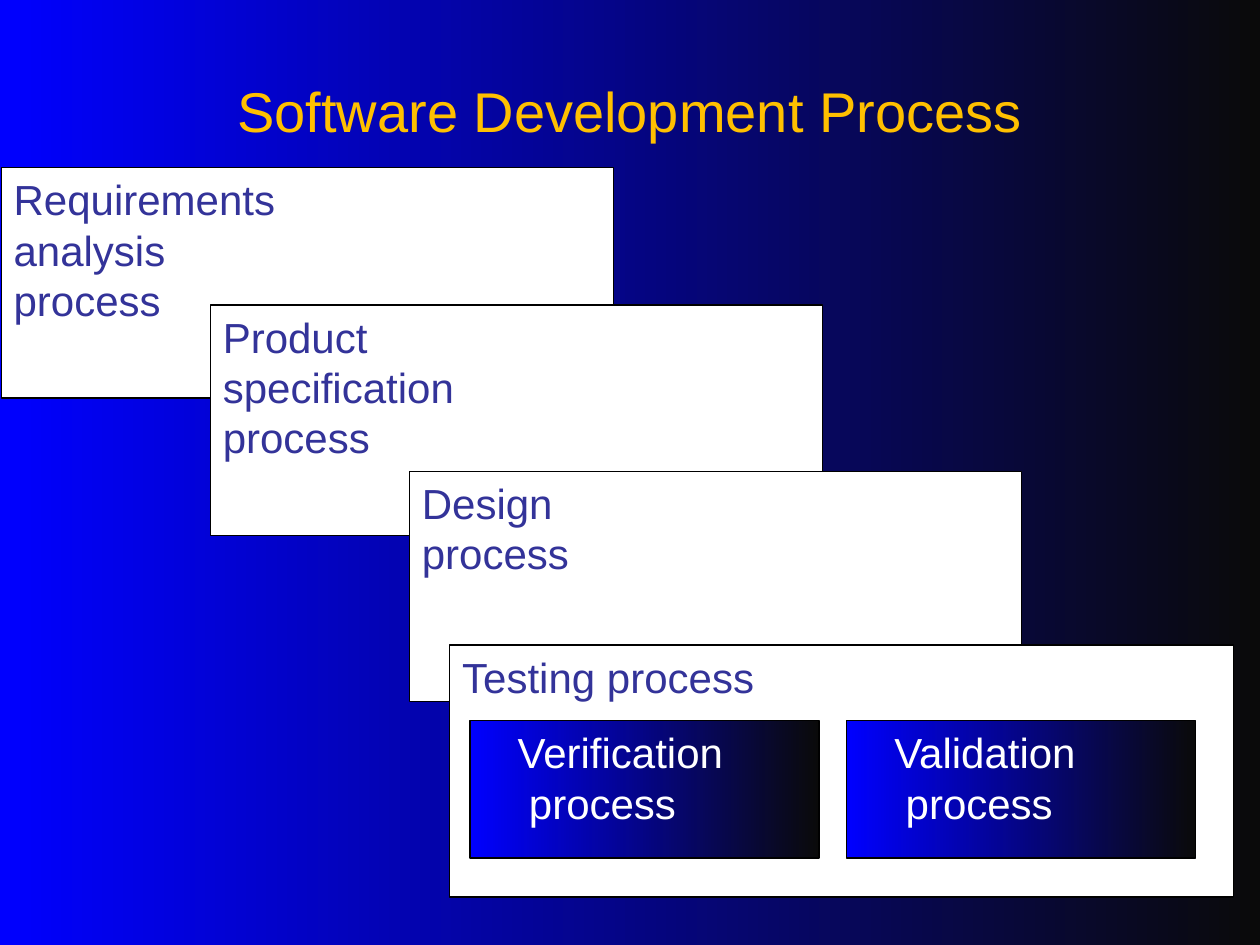
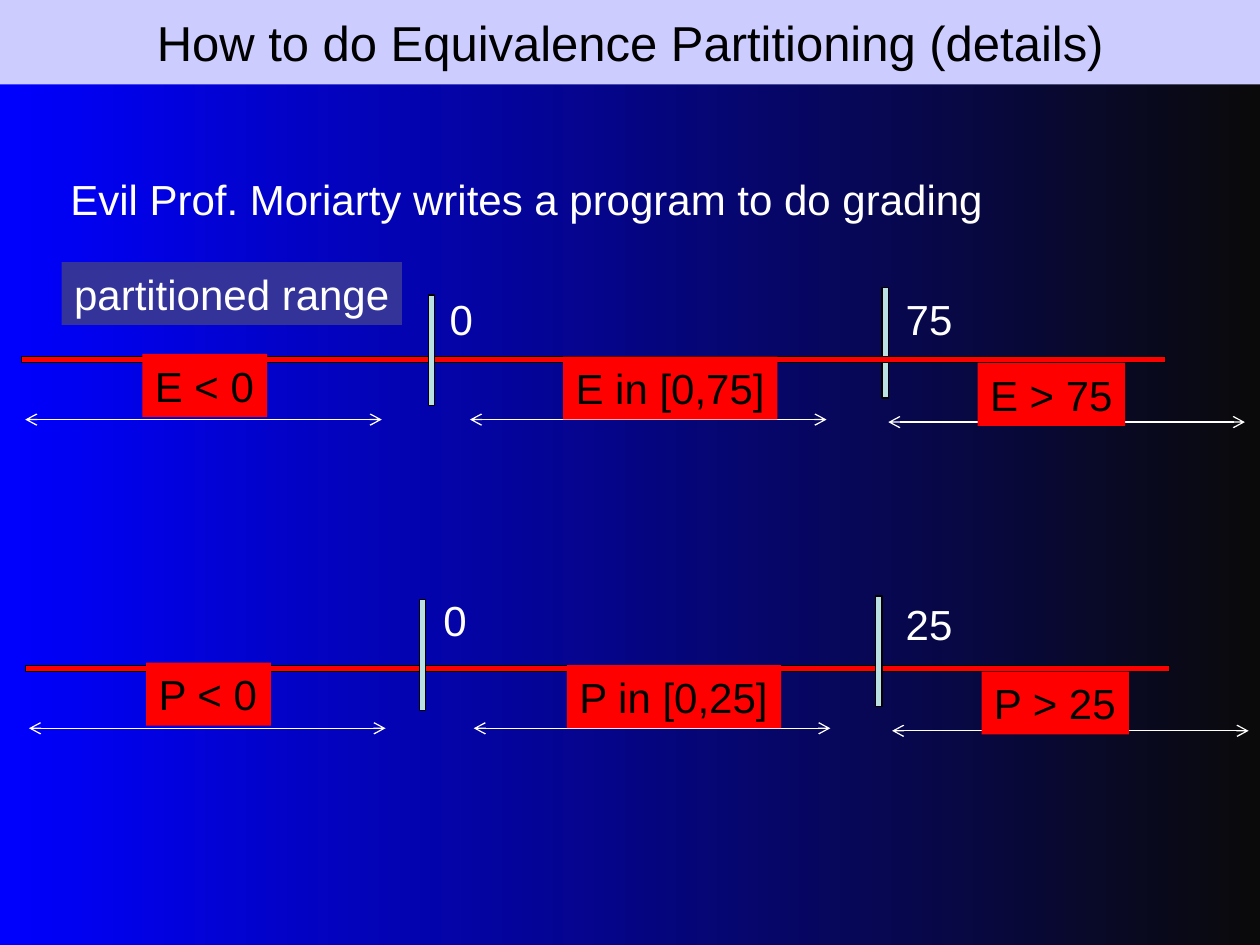
from dataclasses import dataclass

from lxml import etree
from pptx import Presentation
from pptx.dml.color import RGBColor
from pptx.enum.shapes import MSO_CONNECTOR, MSO_SHAPE
from pptx.enum.text import MSO_ANCHOR, MSO_AUTO_SIZE, PP_ALIGN
from pptx.oxml.ns import qn
from pptx.util import Pt

RECT = MSO_SHAPE.RECTANGLE
LINE = MSO_CONNECTOR.STRAIGHT
TOP, MIDDLE = MSO_ANCHOR.TOP, MSO_ANCHOR.MIDDLE
LEFT, CENTER = PP_ALIGN.LEFT, PP_ALIGN.CENTER
FIT, FIXED = MSO_AUTO_SIZE.SHAPE_TO_FIT_TEXT, MSO_AUTO_SIZE.NONE
PX = 9144


@dataclass(frozen=True)
class Theme:
    font: str = "Arial"
    body: int = 24
    edge: float = 0.75
    blue: str = "0000FF"
    night: str = "0A0A0A"
    white: str = "FFFFFF"
    black: str = "000000"
    gold: str = "FFC000"
    indigo: str = "333399"
    lilac: str = "CCCCFF"
    red: str = "FF0000"
    pale: str = "BBE0E3"


T = Theme()

STAGE_TITLE = "Software Development Process"
STAGES = [
    ("Requirements\nanalysis\nprocess", (1, 133, 486, 183)),
    ("Product\nspecification\nprocess", (167, 242, 486, 183)),
    ("Design\nprocess", (325, 374, 486, 183)),
    ("Testing process", (357, 512, 622, 200)),
]
CHECKS = ["Verification\nprocess", "Validation\nprocess"]
CHECK_BOX = (373, 572, 277, 109)
CHECK_STEP = 299
CHECK_INDENTS = (28, 37)

RANGE_TITLE = "How to do Equivalence Partitioning (details)"
INTRO = ("Evil Prof. Moriarty writes a program to do grading", (46, 133, 744, 50))
BADGE = ("partitioned range", (49, 208, 270, 50))
RAIL = (17, 283, 908, 5)
SPANS = [(20, 333), (373, 333), (705, 335)]
SPAN_W = 283
TAGS = [(113, 281, 99), (447, 283, 170), (776, 288, 117)]
TAG_H = 50
TICK = (5, 88)
SCALES = [
    {
        "shift": (0, 0),
        "tags": ["E < 0", "E in [0,75]", "E > 75"],
        "back": [(700, 228)],
        "front": [(340, 234)],
        "marks": [("0", (347, 228, 38, 50)), ("75", (709, 228, 57, 50))],
    },
    {
        "shift": (3, 245),
        "tags": ["P < 0", "P in [0,25]", "P > 25"],
        "back": [],
        "front": [(333, 476), (695, 473)],
        "marks": [("0", (342, 467, 38, 50)), ("25", (709, 470, 57, 50))],
    },
]


def emu(box):
    return [v * PX for v in box]


def rgb(code):
    return RGBColor.from_string(code)


def paint(fill, color):
    fill.solid()
    fill.fore_color.rgb = rgb(color)


def fade(fill):
    fill.gradient()
    fill.gradient_angle = 0
    for stop, color in zip(fill.gradient_stops, (T.blue, T.night)):
        stop.color.rgb = rgb(color)


def write(shape, text, color, size=T.body, align=LEFT, anchor=TOP):
    frame = shape.text_frame
    frame.text = text
    frame.vertical_anchor = anchor
    for par in frame.paragraphs:
        par.alignment = align
        for run in par.runs:
            run.font.name = T.font
            run.font.size = Pt(size)
            run.font.color.rgb = rgb(color)


def add_box(shapes, box, color=None):
    shape = shapes.add_shape(RECT, *emu(box))
    shape.shadow.inherit = False
    if color:
        paint(shape.fill, color)
    else:
        fade(shape.fill)
    shape.line.color.rgb = rgb(T.black)
    shape.line.width = Pt(T.edge)
    return shape


def add_label(shapes, text, box, color=T.white, back=None):
    label = shapes.add_textbox(*emu(box))
    write(label, text, color)
    label.text_frame.word_wrap = False
    label.text_frame.auto_size = FIT
    if back:
        paint(label.fill, back)


def add_span(shapes, x, y):
    span = shapes.add_connector(LINE, *emu((x, y, x + SPAN_W, y)))
    span.line.color.rgb = rgb(T.white)
    span.line.width = Pt(T.edge)
    edge = span.line._get_or_add_ln()
    for end in ("a:headEnd", "a:tailEnd"):
        etree.SubElement(edge, qn(end), type="arrow")
    etree.SubElement(span._element.spPr, qn("a:effectLst"))


def add_slide(deck, text, box, color, size, band=None):
    slide = deck.slides.add_slide(deck.slide_layouts[5])
    title = slide.shapes.title
    title.left, title.top, title.width, title.height = emu(box)
    write(title, text, color, size, CENTER, MIDDLE)
    title.text_frame.auto_size = FIXED
    if band:
        paint(title.fill, band)
    return slide.shapes


def build_stages(deck):
    shapes = add_slide(deck, STAGE_TITLE, (75, 25, 850, 125), T.gold, 32)
    for text, box in STAGES:
        write(add_box(shapes, box, T.white), text, T.indigo)
    x, y, w, h = CHECK_BOX
    for i, text in enumerate(CHECKS):
        check = add_box(shapes, (x + i * CHECK_STEP, y, w, h))
        write(check, text, T.white)
        for par, indent in zip(check.text_frame.paragraphs, CHECK_INDENTS):
            par._p.get_or_add_pPr().set("marL", str(indent * PX))


def add_ticks(shapes, spots):
    for spot in spots:
        add_box(shapes, spot + TICK, T.pale)


def add_scale(shapes, scale):
    dx, dy = scale["shift"]
    add_ticks(shapes, scale["back"])
    group = shapes.add_group_shape().shapes
    x, y, w, h = RAIL
    add_box(group, (x + dx, y + dy, w, h), T.red)
    for x, y in SPANS:
        add_span(group, x + dx, y + dy)
    for text, (x, y, w) in zip(scale["tags"], TAGS):
        add_label(group, text, (x + dx, y + dy, w, TAG_H), T.black, T.red)
    for text, box in scale["marks"]:
        add_label(shapes, text, box)
    add_ticks(shapes, scale["front"])


def build_ranges(deck):
    shapes = add_slide(deck, RANGE_TITLE, (0, 0, 1000, 67), T.black, 28, T.lilac)
    add_label(shapes, *INTRO)
    add_label(shapes, *BADGE, back=T.indigo)
    for scale in SCALES:
        add_scale(shapes, scale)


def main():
    deck = Presentation()
    deck.slide_width, deck.slide_height = emu((1000, 750))
    fade(deck.slide_master.background.fill)
    build_stages(deck)
    build_ranges(deck)
    deck.save("out.pptx")


if __name__ == "__main__":
    main()
